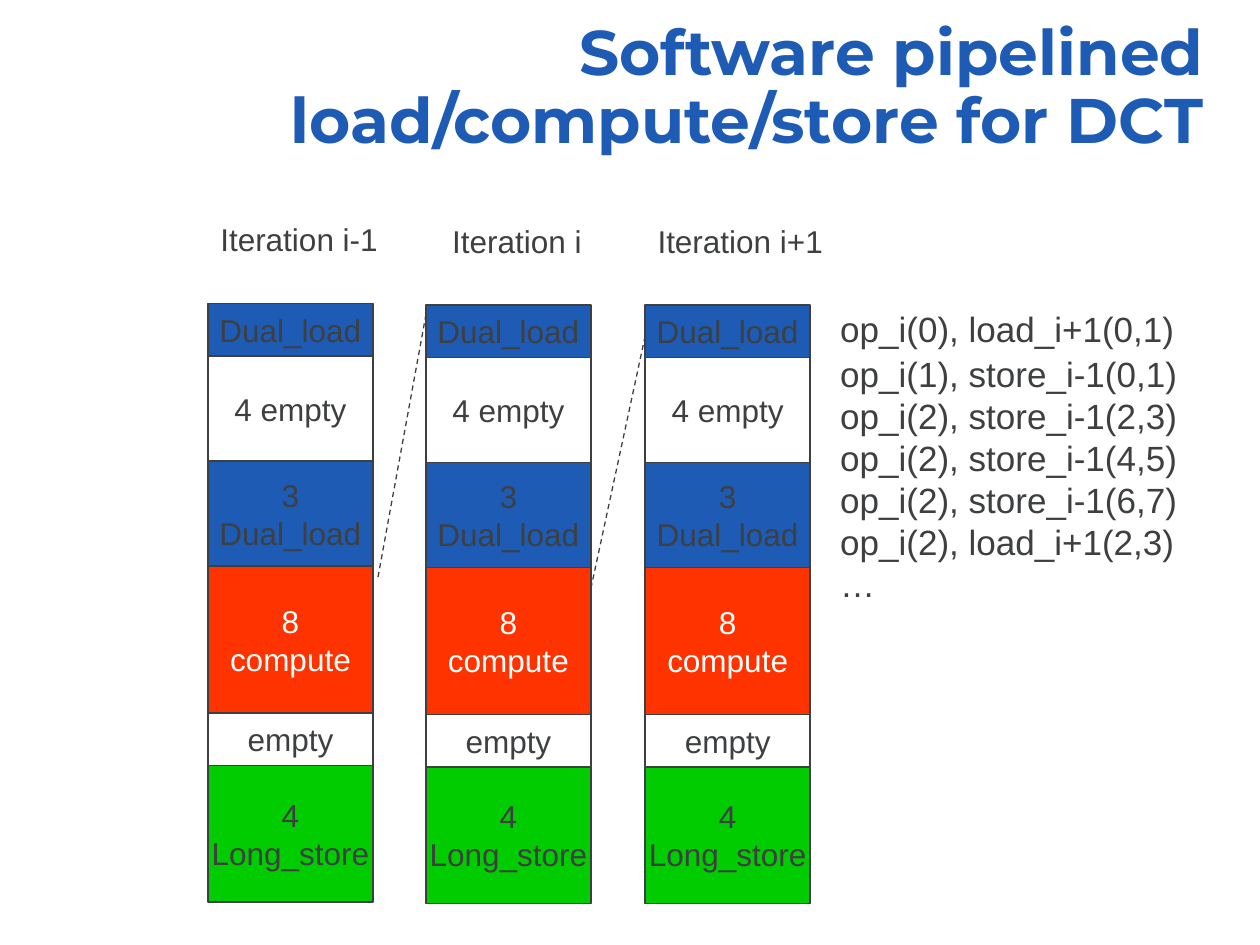
"""Build a slide showing the software-pipelined load, compute and store stages of a DCT."""
from dataclasses import dataclass
from itertools import accumulate

from lxml.etree import SubElement
from pptx import Presentation
from pptx.dml.color import RGBColor
from pptx.enum.dml import MSO_LINE
from pptx.enum.shapes import MSO_CONNECTOR, MSO_SHAPE
from pptx.enum.text import MSO_ANCHOR, MSO_AUTO_SIZE, PP_ALIGN
from pptx.oxml.ns import qn
from pptx.util import Inches, Pt


@dataclass(frozen=True)
class Theme:
    blue: str = "1E5BB4"
    red: str = "FF3300"
    green: str = "00CC00"
    white: str = "FFFFFF"
    ink: str = "3D3F41"
    title_font: str = "Montserrat"
    body_font: str = "Arial"
    title_size: int = 36
    stage_size: int = 18
    operation_size: int = 20
    line_width: float = 0.75


THEME = Theme()
TITLE = "Software pipelined load/compute/store for DCT"

STAGES = [
    (["Dual_load"], 1, THEME.blue, THEME.ink),
    (["4 empty"], 2, THEME.white, THEME.ink),
    (["3", "Dual_load"], 2, THEME.blue, THEME.ink),
    (["8", "compute"], 2.8, THEME.red, THEME.white),
    (["empty"], 1, THEME.white, THEME.ink),
    (["4", "Long_store"], 2.6, THEME.green, THEME.ink),
]

ITERATIONS = [
    {"label": "Iteration i-1", "left": 1.65, "top": 2.41, "label_left": 1.65, "label_width": 1.45},
    {"label": "Iteration i", "left": 3.38, "top": 2.42, "label_left": 3.49, "label_width": 1.23,
     "link": (3, 4.58, 3.38, 2.5)},
    {"label": "Iteration i+1", "left": 5.12, "top": 2.42, "label_left": 5.12, "label_width": 1.51,
     "link": (4.69, 4.67, 5.12, 2.67)},
]

OPERATIONS = [
    ["op_i(0), load_i+1(0,1)"],
    ["op_i(1), store_i-1(0,1)"],
    ["op_i(2), store_i-1(2,3)"],
    ["op_i(2), store_i-1(4,5)"],
    ["op_i(2), store_i-1(6,7)"],
    ["op_i(2), load_i+1(2,3)", "…"],
]

STAGE_WIDTH = 1.31
SLOT_HEIGHT = 5 / 12
LABEL_RISE = 0.71
OPERATION_LEFT, OPERATION_TOP, OPERATION_PITCH = 6.57, 2.75, 1 / 3
OPERATION_WIDTH = 2.95
FIRST_OPERATION_TOP = 2.39


def write(shape, lines, size, color, font=THEME.body_font, align=PP_ALIGN.LEFT,
          anchor=MSO_ANCHOR.TOP, bold=False, wrap=False):
    frame = shape.text_frame
    frame.word_wrap = wrap
    frame.vertical_anchor = anchor
    for index, line in enumerate(lines):
        paragraph = frame.paragraphs[0] if index == 0 else frame.add_paragraph()
        paragraph.alignment = align
        run = paragraph.add_run()
        run.text = line
        run.font.name = font
        run.font.size = Pt(size)
        run.font.bold = bold
        run.font.color.rgb = RGBColor.from_string(color)
    return frame


def add_text(shapes, box, lines, size, wrap=False):
    shape = shapes.add_textbox(*map(Inches, box))
    frame = write(shape, lines, size, THEME.ink, wrap=wrap)
    frame.auto_size = MSO_AUTO_SIZE.SHAPE_TO_FIT_TEXT


def style_line(line):
    line.color.rgb = RGBColor.from_string(THEME.ink)
    line.width = Pt(THEME.line_width)


def add_stage(shapes, box, lines, fill, color):
    shape = shapes.add_shape(MSO_SHAPE.RECTANGLE, *map(Inches, box))
    shape.shadow.inherit = False
    shape.fill.solid()
    shape.fill.fore_color.rgb = RGBColor.from_string(fill)
    style_line(shape.line)
    write(shape, lines, THEME.stage_size, color, align=PP_ALIGN.CENTER, anchor=MSO_ANCHOR.MIDDLE)


def add_link(shapes, ends):
    connector = shapes.add_connector(MSO_CONNECTOR.STRAIGHT, *map(Inches, ends))
    style_line(connector.line)
    connector.line.dash_style = MSO_LINE.DASH
    SubElement(connector._element.spPr, qn("a:effectLst"))


def add_iteration(shapes, iteration):
    label_box = (iteration["label_left"], iteration["top"] - LABEL_RISE, iteration["label_width"], 0.4)
    add_text(shapes, label_box, [iteration["label"]], THEME.stage_size)
    starts = accumulate((slots for _, slots, _, _ in STAGES), initial=0)
    for start, (lines, slots, fill, color) in zip(starts, STAGES):
        top = iteration["top"] + start * SLOT_HEIGHT
        add_stage(shapes, (iteration["left"], top, STAGE_WIDTH, slots * SLOT_HEIGHT), lines, fill, color)
    if "link" in iteration:
        add_link(shapes, iteration["link"])


def main():
    presentation = Presentation()
    presentation.slide_width, presentation.slide_height = Inches(10), Inches(7.5)
    slide = presentation.slides.add_slide(presentation.slide_layouts[6])

    title = slide.shapes.add_textbox(*map(Inches, (1.53, 0.1, 8.12, 1.2)))
    frame = write(title, [TITLE], THEME.title_size, THEME.blue, THEME.title_font,
                  PP_ALIGN.RIGHT, MSO_ANCHOR.BOTTOM, bold=True, wrap=True)
    frame.paragraphs[0].line_spacing = 0.9

    for index, iteration in enumerate(ITERATIONS):
        shapes = slide.shapes.add_group_shape().shapes if index else slide.shapes
        add_iteration(shapes, iteration)

    operations = slide.shapes.add_group_shape().shapes
    for index, lines in enumerate(OPERATIONS):
        top = OPERATION_TOP + (index - 1) * OPERATION_PITCH if index else FIRST_OPERATION_TOP
        height = 0.1 + len(lines) * OPERATION_PITCH
        box = (OPERATION_LEFT, top, OPERATION_WIDTH, height)
        add_text(operations, box, lines, THEME.operation_size, wrap=True)

    presentation.save("out.pptx")


if __name__ == "__main__":
    main()
